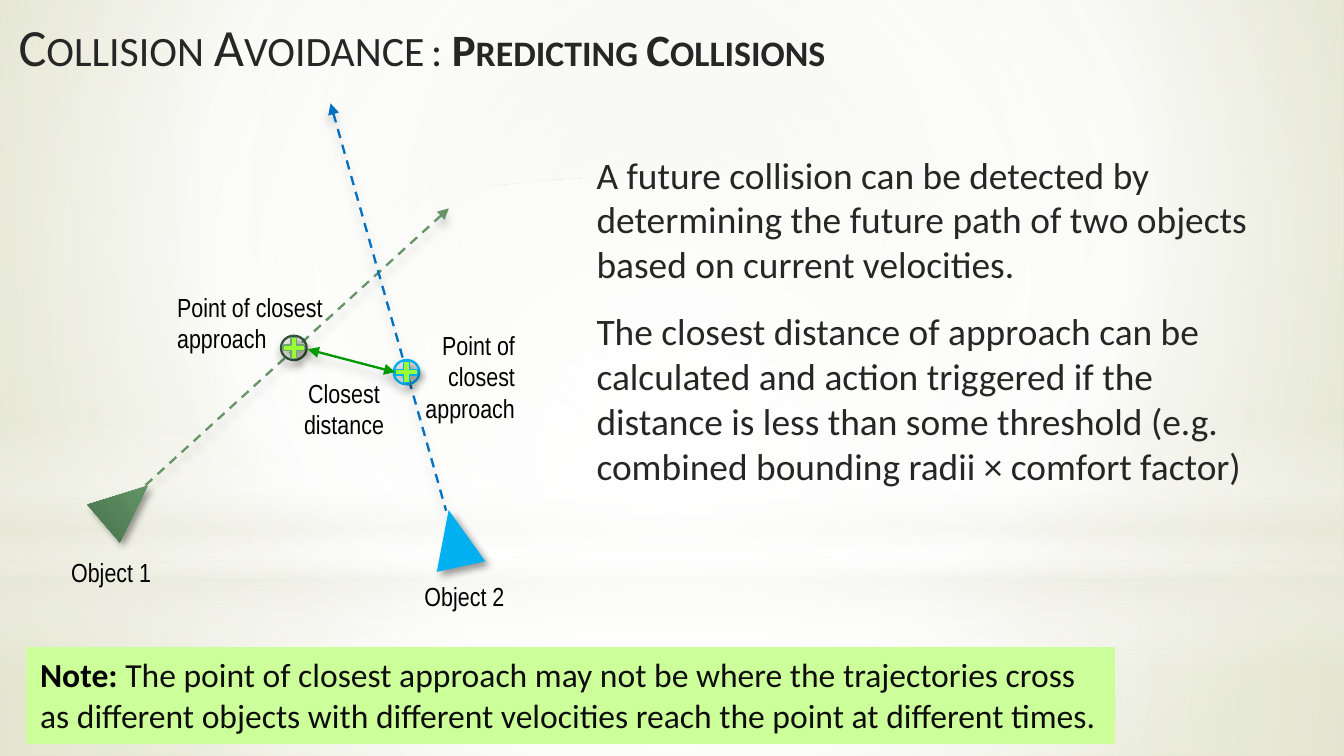
from lxml import etree
from pptx import Presentation
from pptx.dml.color import RGBColor
from pptx.enum.dml import MSO_LINE
from pptx.enum.shapes import MSO_CONNECTOR, MSO_SHAPE
from pptx.enum.text import MSO_ANCHOR, PP_ALIGN
from pptx.oxml.ns import qn
from pptx.util import Pt

RECTANGLE, OVAL = MSO_SHAPE.RECTANGLE, MSO_SHAPE.OVAL
TRIANGLE, PLUS = MSO_SHAPE.FLOWCHART_EXTRACT, MSO_SHAPE.MATH_PLUS
LEFT, CENTER, RIGHT = PP_ALIGN.LEFT, PP_ALIGN.CENTER, PP_ALIGN.RIGHT
TOP, MIDDLE = MSO_ANCHOR.TOP, MSO_ANCHOR.MIDDLE

BLACK = RGBColor(0x00, 0x00, 0x00)
INK = RGBColor(0x0D, 0x0D, 0x0D)
CHARCOAL = RGBColor(0x26, 0x26, 0x26)
WHITE = RGBColor(0xFF, 0xFF, 0xFF)
CREAM = RGBColor(0xEA, 0xEB, 0xDE)
PALE_OLIVE = RGBColor(0xE3, 0xE5, 0xD1)
OLIVE = RGBColor(0xCC, 0xD0, 0x9F)
SAGE = RGBColor(0x68, 0x94, 0x68)
LIGHT_SAGE = RGBColor(0x6A, 0x9E, 0x6E)
DARK_SAGE = RGBColor(0x49, 0x73, 0x4D)
PLUS_SAGE = RGBColor(0x72, 0xA3, 0x76)
FOREST = RGBColor(0x35, 0x53, 0x37)
BLUE = RGBColor(0x00, 0x70, 0xC0)
SKY = RGBColor(0x00, 0xB0, 0xF0)
LIME = RGBColor(0x99, 0xFF, 0x33)
PALE_LIME = RGBColor(0xCC, 0xFF, 0x99)
GREEN = RGBColor(0x00, 0x99, 0x00)

BODY_FONT, LABEL_FONT = "Calibri", "Arial Narrow"

# Gradient stops: position %, colour, opacity %
BACKGROUND_STOPS = [(0, PALE_OLIVE, 100), (60, WHITE, 100), (100, OLIVE, 100)]
BACKGROUND_FOCUS = (20, 10, 20, 60)
CENTRE_FOCUS = (50, 50, 50, 50)
# Backdrop: preset, box, stops, focus (None for a vertical gradient)
BACKDROP = [
    (RECTANGLE, (0, 301.5, 720, 103.5),
     [(0, WHITE, 91), (37, WHITE, 76), (100, CREAM, 79)], CENTRE_FOCUS),
    (RECTANGLE, (0, 0, 720, 301.5),
     [(0, WHITE, 89), (48, WHITE, 62), (100, CREAM, 79)], CENTRE_FOCUS),
    (RECTANGLE, (0, 222.5, 720, 135),
     [(0, WHITE, 0), (29, WHITE, 30), (45, CREAM, 40), (55, WHITE, 26),
      (65, CREAM, 60), (100, WHITE, 0)], None),
    (OVAL, (0, 94.5, 720, 301.5), [(0, WHITE, 100), (56, WHITE, 0)], CENTRE_FOCUS),
]

# Shadows: opacity %, blur, distance, direction in degrees
LINE_SHADOW, RING_SHADOW, SOLID_SHADOW = (20, 5, 4, 90), (40, 4, 3, 90), (40, 4, 3, 45)

# Arrows: tip, other end, colour, dashed, both ends
ARROWS = [
    ((240.5, 111.6), (75.6, 262.1), SAGE, True, False),
    ((177.1, 55.4), (239, 273.6), BLUE, True, False),
    ((211.7, 199.4), (164.9, 187.2), GREEN, False, True),
]
OBJECT_SIZE = (26.6, 31)
OBJECT_1 = (54, 254.9, *OBJECT_SIZE)
OBJECT_2 = (230.4, 272.9, *OBJECT_SIZE)
OBJECT_1_STOPS = [(0, LIGHT_SAGE, 100), (100, DARK_SAGE, 100)]
RING_SIZE, PLUS_SIZE = (13.7, 13), (15.8, 15.1)
# Closest points: centre, ring colour, plus outline
CLOSEST_POINTS = [((157.4, 186.4), FOREST, PLUS_SAGE), ((217.8, 199.4), SKY, SKY)]

LABELS = [
    ("Object 1", (31, 295.2, 66.2, 22.3), LEFT),
    ("Object 2", (220.3, 308.2, 66.2, 22.3), LEFT),
    ("Point of closest approach", (87.8, 154.1, 92.9, 37.4), LEFT),
    ("Point of closest approach", (218.2, 175, 64.8, 53.3), RIGHT),
    ("Closest distance", (150.5, 200.2, 67.7, 37.4), CENTER),
]

# Runs: text, size, colour, bold, small caps
TITLE = [[("Collision Avoidance", 28, CHARCOAL, False, True)]]
SUBTITLE = [[(": ", 28, CHARCOAL, False, True),
             ("Predicting Collisions", 24, CHARCOAL, True, True)]]
EXPLANATION = [[(text, 20, CHARCOAL, False, False)] for text in (
    "A future collision can be detected by determining the future path of two "
    "objects based on current velocities.",
    "The closest distance of approach can be calculated and action triggered if the "
    "distance is less than some threshold (e.g. combined bounding radii × comfort factor)",
)]
NOTE = [[("Note: ", 18, BLACK, True, False),
         ("The point of closest approach may not be where the trajectories cross as "
          "different objects with different velocities reach the point at different "
          "times.", 18, INK, False, False)]]


def add_child(parent, tag, **attributes):
    child = etree.SubElement(parent, qn(tag))
    for name, value in attributes.items():
        child.set(name, str(value))
    return child


def add_color(parent, color, opacity):
    element = add_child(parent, "a:srgbClr", val=color)
    if opacity < 100:
        add_child(element, "a:alpha", val=opacity * 1000)


def set_gradient(fill, properties, stops, focus=None):
    """Swap the fill in properties for a radial gradient, or a vertical one without focus."""
    fill.background()
    gradient = etree.Element(qn("a:gradFill"), rotWithShape="1")
    stop_list = add_child(gradient, "a:gsLst")
    for position, color, opacity in stops:
        add_color(add_child(stop_list, "a:gs", pos=position * 1000), color, opacity)
    if focus:
        path = add_child(gradient, "a:path", path="circle")
        edges = {side: edge * 1000 for side, edge in zip("ltrb", focus)}
        add_child(path, "a:fillToRect", **edges)
    else:
        add_child(gradient, "a:lin", ang=90 * 60000, scaled=0)
    properties.replace(properties.find(qn("a:noFill")), gradient)


def add_shadow(effects, shadow):
    opacity, blur, distance, direction = shadow
    outer = add_child(effects, "a:outerShdw", blurRad=Pt(blur), dist=Pt(distance),
                      dir=direction * 60000, rotWithShape=0)
    add_color(outer, BLACK, opacity)


def add_shape(slide, preset, box, fill=None, line=None, width=1.25, shadow=None):
    shape = slide.shapes.add_shape(preset, *map(Pt, box))
    shape.shadow.inherit = False
    if fill is None:
        shape.fill.background()
    else:
        shape.fill.solid()
        shape.fill.fore_color.rgb = fill
    if line is None:
        shape.line.fill.background()
    else:
        shape.line.color.rgb = line
        shape.line.width = Pt(width)
    if shadow:
        add_shadow(shape.element.spPr.find(qn("a:effectLst")), shadow)
    return shape


def add_arrow(slide, tip, end, color, dashed, both_ends):
    arrow = slide.shapes.add_connector(MSO_CONNECTOR.STRAIGHT, *map(Pt, tip + end))
    arrow.line.color.rgb = color
    arrow.line.width = Pt(1.25)
    if dashed:
        arrow.line.dash_style = MSO_LINE.DASH
    properties = arrow.element.spPr
    outline = properties.find(qn("a:ln"))
    add_child(outline, "a:headEnd", type="triangle")
    if both_ends:
        add_child(outline, "a:tailEnd", type="triangle")
    add_shadow(add_child(properties, "a:effectLst"), LINE_SHADOW)


def write_text(shape, paragraphs, font=BODY_FONT, align=LEFT, anchor=TOP, gap=0):
    frame = shape.text_frame
    frame.word_wrap = True
    frame.vertical_anchor = anchor
    for index, runs in enumerate(paragraphs):
        paragraph = frame.add_paragraph() if index else frame.paragraphs[0]
        paragraph.alignment = align
        paragraph.space_before = Pt(gap if index else 0)
        for text, size, color, bold, small_caps in runs:
            run = paragraph.add_run()
            run.text = text
            run.font.name = font
            run.font.size = Pt(size)
            run.font.bold = bold
            run.font.color.rgb = color
            if small_caps:
                run.font._element.set("cap", "small")


def add_text(slide, box, paragraphs, **style):
    write_text(slide.shapes.add_textbox(*map(Pt, box)), paragraphs, **style)


def centred_box(centre, size):
    return (*(middle - length / 2 for middle, length in zip(centre, size)), *size)


def main():
    presentation = Presentation()
    presentation.slide_width, presentation.slide_height = Pt(720), Pt(405)
    slide = presentation.slides.add_slide(presentation.slide_layouts[6])

    background = slide.background.fill
    background.solid()
    set_gradient(background, slide.element.find(".//" + qn("p:bgPr")),
                 BACKGROUND_STOPS, BACKGROUND_FOCUS)
    for preset, box, stops, focus in BACKDROP:
        panel = add_shape(slide, preset, box)
        set_gradient(panel.fill, panel.element.spPr, stops, focus)

    add_text(slide, (2.9, 4.3, 306, 45.4), TITLE)
    add_text(slide, (223.9, 4.3, 306, 45.4), SUBTITLE)

    first_object = add_shape(slide, TRIANGLE, OBJECT_1, shadow=SOLID_SHADOW)
    set_gradient(first_object.fill, first_object.element.spPr, OBJECT_1_STOPS)
    first_object.rotation = 49.4
    second_object = add_shape(slide, TRIANGLE, OBJECT_2, SKY, shadow=SOLID_SHADOW)
    second_object.rotation = 347.7

    *trajectories, closest_distance = ARROWS
    for trajectory in trajectories:
        add_arrow(slide, *trajectory)
    for centre, ring_color, plus_color in CLOSEST_POINTS:
        add_shape(slide, OVAL, centred_box(centre, RING_SIZE), line=ring_color,
                  shadow=RING_SHADOW)
        plus = add_shape(slide, PLUS, centred_box(centre, PLUS_SIZE), LIME, plus_color,
                         0.75, SOLID_SHADOW)
        plus.adjustments[0] = 0.195
    add_arrow(slide, *closest_distance)

    for text, box, align in LABELS:
        add_text(slide, box, [[(text, 14, BLACK, False, False)]], font=LABEL_FONT,
                 align=align, anchor=MIDDLE)
    note = add_shape(slide, RECTANGLE, (14.4, 347, 582.5, 51.1), PALE_LIME, PALE_LIME)
    write_text(note, NOTE)
    add_text(slide, (312.5, 77.8, 366.5, 189.4), EXPLANATION, gap=12)
    presentation.save("out.pptx")


if __name__ == "__main__":
    main()
